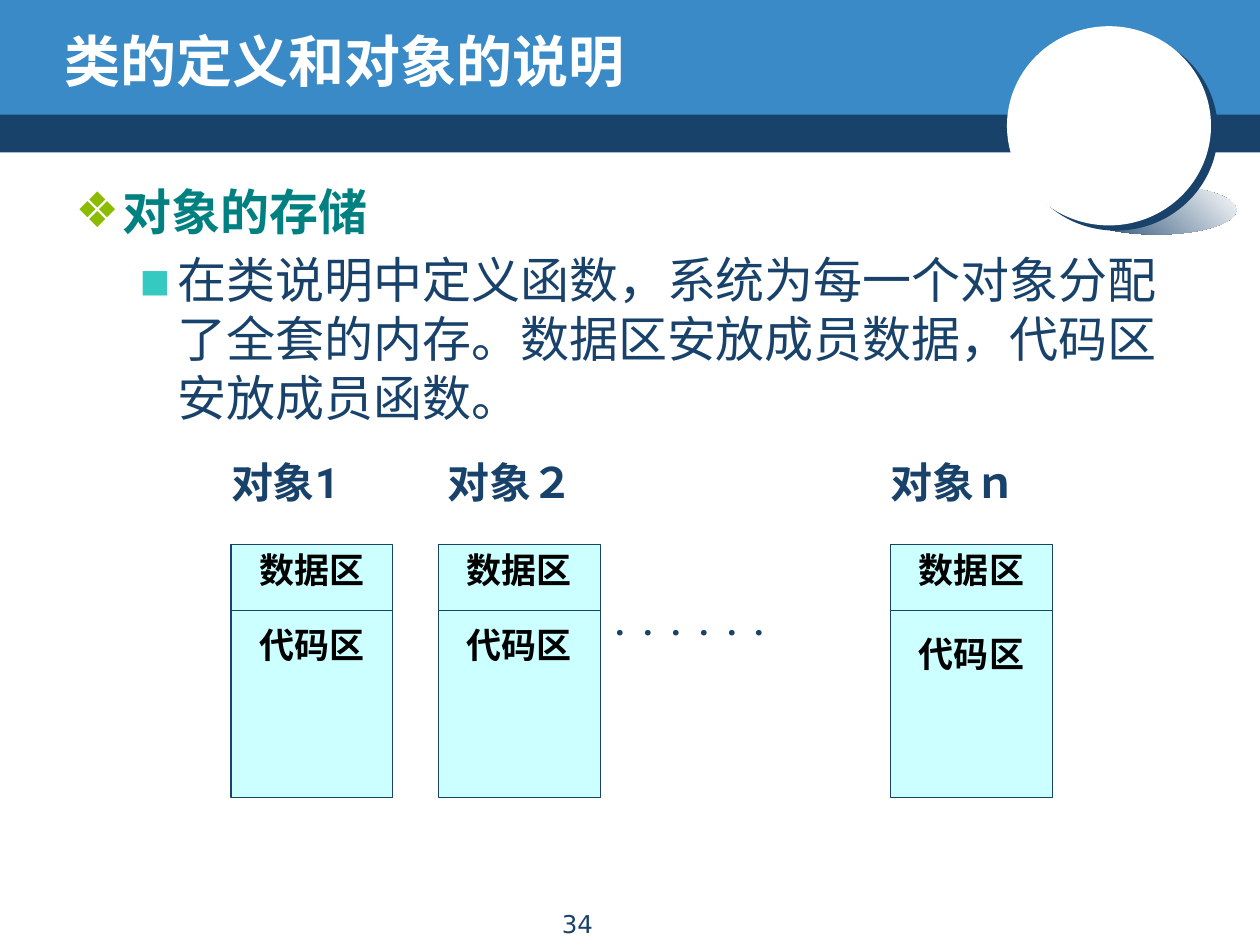
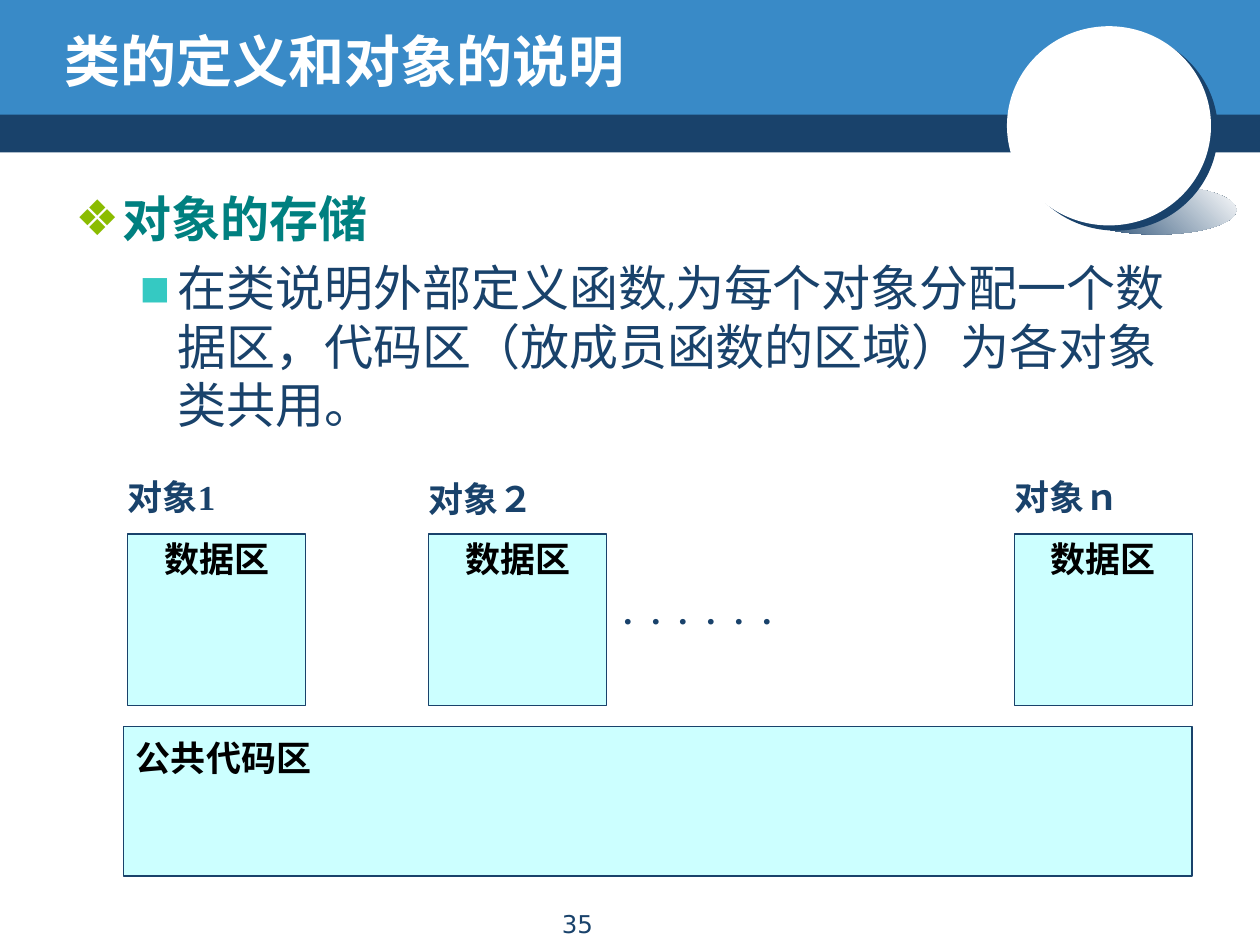
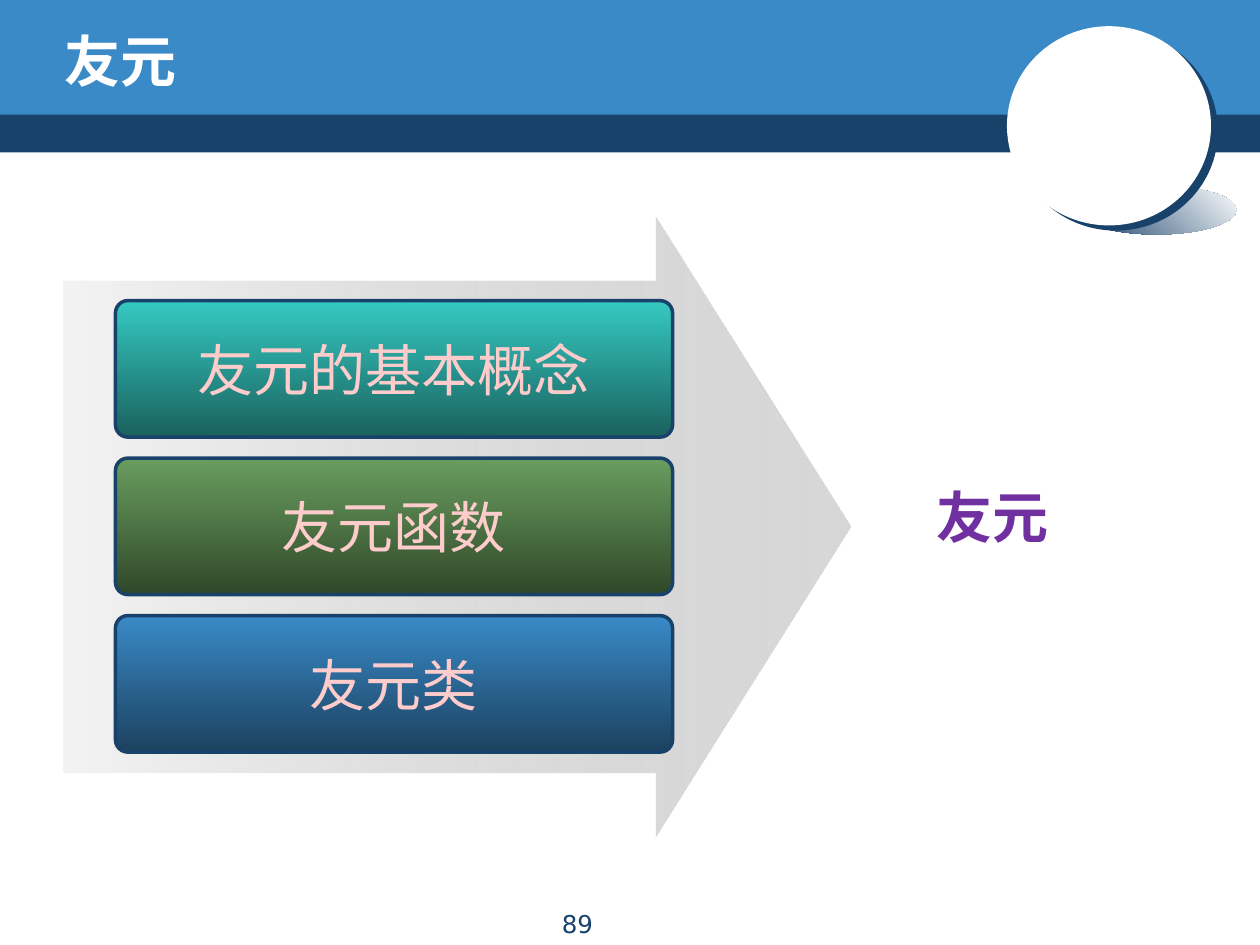
from lxml.etree import SubElement
from pptx import Presentation
from pptx.dml.color import RGBColor
from pptx.enum.shapes import MSO_CONNECTOR, MSO_SHAPE as Shape
from pptx.enum.text import MSO_ANCHOR as Anchor, PP_ALIGN as Align
from pptx.oxml.ns import qn
from pptx.util import Pt

# Content
STORAGE_TITLE, STORAGE_TOPIC = "类的定义和对象的说明", "对象的存储"
INNER = {
    "number": "34", "title": STORAGE_TITLE, "topic": STORAGE_TOPIC,
    "detail": "在类说明中定义函数，系统为每一个对象分配了全套的内存。"
              "数据区安放成员数据，代码区安放成员函数。",
    # label, label left, box left, gap between the two areas
    "objects": [("对象1", 132, 132, 17.4), ("对象２", 256, 250.6, 17.4),
                ("对象ｎ", 509, 509, 22)],
}
OUTER = {
    "number": "35", "title": STORAGE_TITLE, "topic": STORAGE_TOPIC,
    "detail": "在类说明外部定义函数,为每个对象分配一个数据区，"
              "代码区（放成员函数的区域）为各对象类共用。",
    # label, label top, box left
    "objects": [("对象1", 269.5, 73), ("对象２", 271, 245), ("对象ｎ", 269.5, 579.6)],
}
FRIEND = {
    "number": "89", "title": "友元", "result": "友元",
    "parts": [("友元的基本概念", "teal", "teal_dark"),
              ("友元函数", "green", "green_dark"),
              ("友元类", "blue", "blue_dark")],
}
DATA, CODE, SHARED_CODE, DOTS = "数据区", "代码区", "公共代码区", "．．．．．．"

# Look
COLORS = {
    "navy": "19426B", "blue": "398AC7", "white": "FFFFFF", "topic": "008080",
    "diamond": "8BBC00", "teal": "35C9C2", "cell": "CCFFFF", "black": "000000",
    "teal_dark": "1A625E", "green": "699D5F", "green_dark": "304829",
    "blue_dark": "1C4160", "arrow_from": "B2B2B2", "arrow_to": "D7D7D7",
    "pink": "FFCCCC", "purple": "7030A0",
}
CJK = "Noto Sans CJK SC"
FORMATS = {
    "title": ({"name": "Comic Neue", "size": Pt(32), "bold": True}, "white"),
    "topic": ({"name": "Comic Neue", "size": Pt(28), "bold": True}, "topic"),
    "detail": ({"name": "Comic Neue", "size": Pt(28), "bold": False}, "navy"),
    "area": ({"name": "Times New Roman", "size": Pt(20), "bold": True}, "black"),
    "inner_label": ({"name": "Roboto", "size": Pt(24), "bold": True}, "navy"),
    "outer_label": ({"name": "Times New Roman", "size": Pt(20), "bold": True}, "navy"),
    "dots": ({"name": "Times New Roman", "size": Pt(16), "bold": True}, "navy"),
    "part": ({"name": CJK, "size": Pt(32), "bold": False}, "pink"),
    "result": ({"name": CJK, "size": Pt(32), "bold": True}, "purple"),
    "number": ({"name": "DejaVu Sans", "size": Pt(14), "bold": False}, "navy"),
}
# mark, mark colour, left margin, hanging indent
BULLETS = {"topic": ("❖", "diamond", 27, 27), "detail": ("▪", "teal", 58.5, 22.5)}
TIGHT = 1.3  # line height of diagram text, in ems


def rgb(name):
    return RGBColor.from_string(COLORS[name])


# Text helpers
def set_format(target, values):
    for key, value in values.items():
        setattr(target, key, value)


def write(paragraph, text, style, **layout):
    values, color = FORMATS[style]
    run = paragraph.add_run()
    run.text = text
    set_format(run.font, values)
    run.font.color.rgb = rgb(color)
    SubElement(run.font._element, qn("a:ea"), typeface=CJK)
    set_format(paragraph, layout)


def tight(style):
    return Pt(FORMATS[style][0]["size"].pt * TIGHT)


def set_frame(shape, inset=None, anchor=Anchor.TOP, wrap=True):
    frame = shape.text_frame
    set_format(frame, {"word_wrap": wrap, "vertical_anchor": anchor})
    if inset is not None:
        sides = ("left", "top", "right", "bottom")
        set_format(frame, {f"margin_{side}": Pt(inset) for side in sides})
    return frame


def add_text(slide, box, text, style, inset=None, anchor=Anchor.TOP, **layout):
    frame = set_frame(slide.shapes.add_textbox(*map(Pt, box)), inset, anchor)
    write(frame.paragraphs[0], text, style, **layout)


def add_bullet(paragraph, style):
    mark, color, margin, hang = BULLETS[style]
    props = paragraph._p.get_or_add_pPr()
    props.set("marL", str(Pt(margin)))
    props.set("indent", str(-Pt(hang)))
    SubElement(SubElement(props, qn("a:buClr")), qn("a:srgbClr"), val=COLORS[color])
    SubElement(props, qn("a:buFont"), typeface="DejaVu Sans")
    SubElement(props, qn("a:buChar"), char=mark)


# Shape helpers
def add_form(slide, kind, box, fill=None, line=None, angle=0, adjust=()):
    """A fill is a colour name, a pair of names for a gradient, or None."""
    form = slide.shapes.add_shape(kind, *map(Pt, box))
    form.shadow.inherit = False
    for index, value in enumerate(adjust):
        form.adjustments[index] = value
    if fill is None:
        form.fill.background()
    elif isinstance(fill, tuple):
        form.fill.gradient()
        form.fill.gradient_angle = angle
        for stop, color in zip(form.fill.gradient_stops, fill):
            stop.color.rgb = rgb(color)
    else:
        form.fill.solid()
        form.fill.fore_color.rgb = rgb(fill)
    if line:
        form.line.color.rgb = rgb("navy")
        form.line.width = Pt(line)
    else:
        form.line.fill.background()
    return form


def add_cell(slide, box, text, inset=0, align=Align.CENTER):
    cell = add_form(slide, Shape.RECTANGLE, box, "cell", 0.75)
    frame = set_frame(cell, inset)
    write(frame.paragraphs[0], text, "area", alignment=align, line_spacing=tight("area"))
    return frame


def add_divider(slide, left, right, y):
    divider = slide.shapes.add_connector(
        MSO_CONNECTOR.STRAIGHT, Pt(left), Pt(y), Pt(right), Pt(y))
    divider.line.color.rgb = rgb("navy")
    divider.line.width = Pt(0.75)
    SubElement(divider._element.spPr, qn("a:effectLst"))


# Shared parts of the slides
def start_slide(deck, content):
    slide = deck.slides.add_slide(deck.slide_layouts[6])
    add_form(slide, Shape.RECTANGLE, (0, 62.6, 720, 24.6), "navy")
    add_form(slide, Shape.RECTANGLE, (0, 0, 720, 65.5), "blue")
    add_form(slide, Shape.OVAL, (615, 106, 91.5, 28), ("navy", "white"), angle=45)
    disc = add_form(slide, Shape.OVAL, (575.4, 15, 116.6, 113.8), "white")
    effects = disc._element.spPr.find(qn("a:effectLst"))
    shadow = SubElement(effects, qn("a:outerShdw"), blurRad="0", dist=str(Pt(5)),
                        dir=str(37 * 60000), algn="ctr", rotWithShape="0")
    SubElement(shadow, qn("a:srgbClr"), val=COLORS["navy"])
    add_text(slide, (30, 12.2, 582, 44.6), content["title"], "title", anchor=Anchor.MIDDLE)
    add_text(slide, (246, 516, 168, 19), content["number"], "number",
             alignment=Align.CENTER)
    return slide


def add_body(slide, content, top):
    frame = set_frame(slide.shapes.add_textbox(Pt(36), Pt(top), Pt(648), Pt(150)))
    rows = (("topic", frame.paragraphs[0], 0), ("detail", frame.add_paragraph(), 5.6))
    for style, paragraph, gap in rows:
        write(paragraph, content[style], style,
              line_spacing=Pt(33.6), space_before=Pt(gap))
        add_bullet(paragraph, style)


def add_label(slide, box, text, style):
    add_text(slide, box, text, style, inset=0, line_spacing=tight(style))


# Slides
def build_inner(deck):
    slide = start_slide(deck, INNER)
    add_body(slide, INNER, 100)
    width = 92.4
    for label, label_left, left, gap in INNER["objects"]:
        add_label(slide, (label_left, 258.5, 95, 36), label, "inner_label")
        frame = add_cell(slide, (left, 311.2, width, 144.6), DATA)
        write(frame.add_paragraph(), CODE, "area", alignment=Align.CENTER,
              line_spacing=tight("area"), space_before=Pt(gap))
        add_divider(slide, left, left + width, 349)
    add_label(slide, (350, 346, 160, 36), DOTS, "dots")


def build_outer(deck):
    slide = start_slide(deck, OUTER)
    add_body(slide, OUTER, 104.4)
    for label, label_top, left in OUTER["objects"]:
        add_label(slide, (left, label_top, 122, 24), label, "outer_label")
        add_cell(slide, (left, 305.2, 101.7, 98), DATA)
    add_label(slide, (354.4, 339.8, 220, 22), DOTS, "dots")
    frame = add_cell(slide, (70.6, 415.2, 610.6, 85.5), SHARED_CODE,
                     inset=3.6, align=Align.LEFT)
    frame.margin_left = Pt(7.2)


def build_friend(deck):
    slide = start_slide(deck, FRIEND)
    arrow = add_form(slide, Shape.RIGHT_ARROW, (36, 124, 450, 354),
                     ("arrow_from", "arrow_to"), adjust=(0.793, 0.315))
    first_stop = next(arrow._element.spPr.iter(qn("a:srgbClr")))
    SubElement(first_stop, qn("a:alpha"), val="15000")
    for row, (text, upper, lower) in enumerate(FRIEND["parts"]):
        part = add_form(slide, Shape.ROUNDED_RECTANGLE, (66, 171.8 + 90 * row, 318.4, 78),
                        (upper, lower), 2, angle=270, adjust=(0.091,))
        frame = set_frame(part, anchor=Anchor.MIDDLE, wrap=False)
        write(frame.paragraphs[0], text, "part", alignment=Align.CENTER)
    result = add_form(slide, Shape.ROUNDED_RECTANGLE, (468, 244, 198, 102), adjust=(0.091,))
    frame = set_frame(result, anchor=Anchor.MIDDLE)
    write(frame.paragraphs[0], FRIEND["result"], "result", alignment=Align.CENTER)


def main():
    deck = Presentation()
    deck.slide_width, deck.slide_height = Pt(720), Pt(540)
    for build in (build_inner, build_outer, build_friend):
        build(deck)
    deck.save("out.pptx")


if __name__ == "__main__":
    main()
